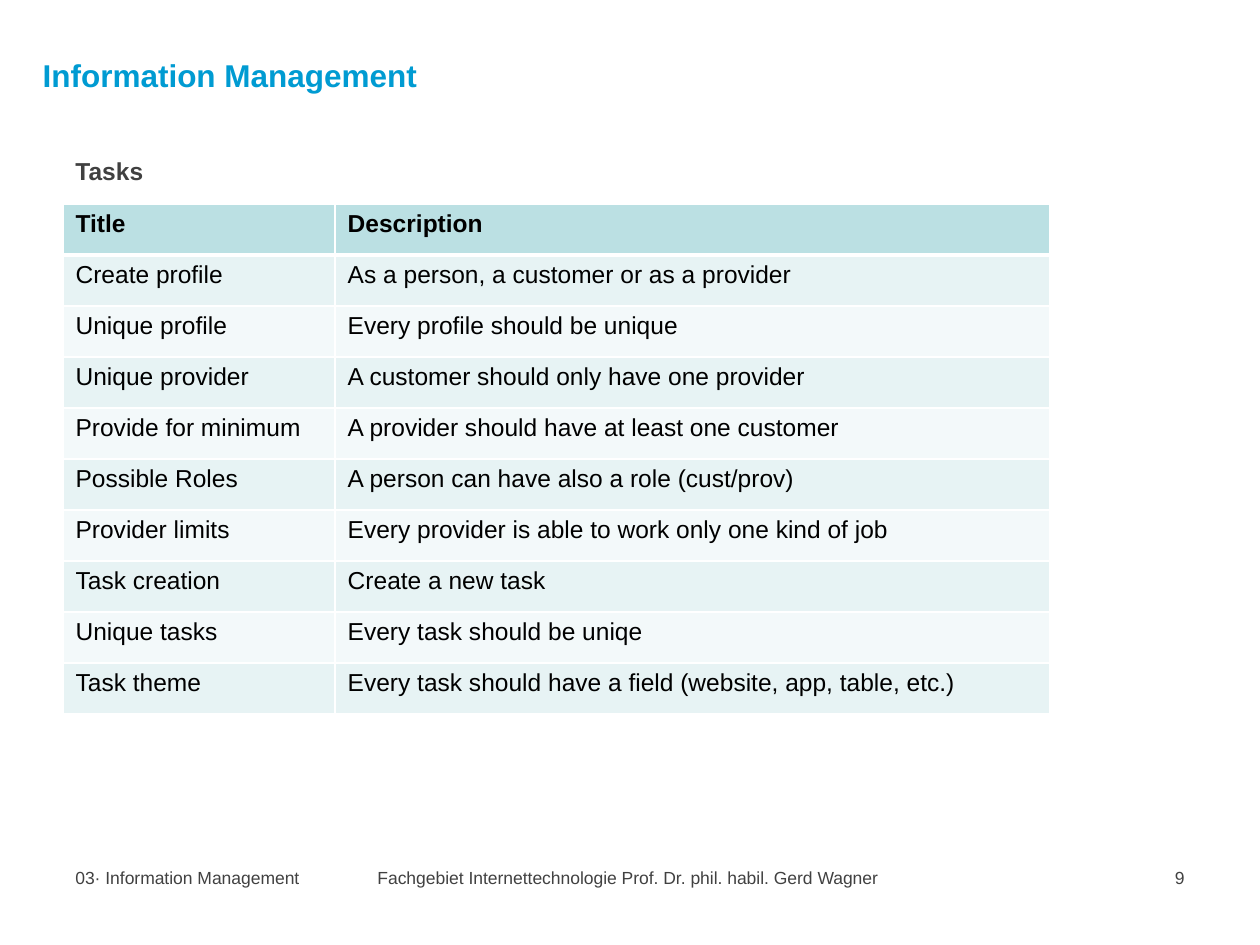
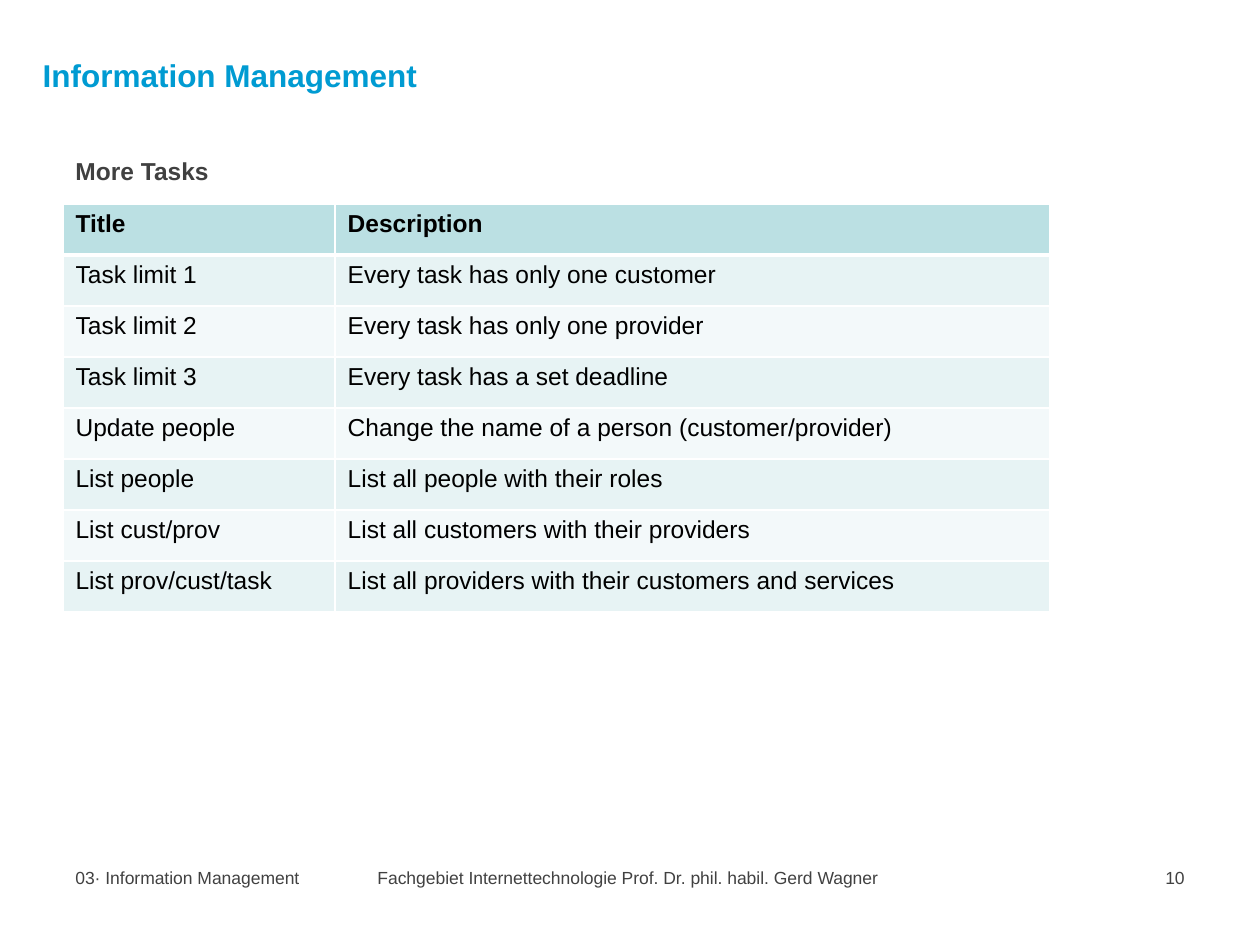
from dataclasses import dataclass

from lxml import etree
from pptx import Presentation
from pptx.dml.color import RGBColor
from pptx.enum.text import MSO_ANCHOR, PP_ALIGN
from pptx.oxml.ns import qn
from pptx.util import Inches, Pt

LEFT, CENTER, RIGHT = PP_ALIGN.LEFT, PP_ALIGN.CENTER, PP_ALIGN.RIGHT
TOP = MSO_ANCHOR.TOP
BLANK_LAYOUT = 6


@dataclass(frozen=True)
class Theme:
    font: str = "Arial"
    title_color: str = "009BD2"
    heading_color: str = "404040"
    footer_color: str = "414141"
    cell_color: str = "000000"
    header_fill: str = "BBE0E3"
    band_fills: tuple = ("E7F3F4", "F3F9FA")
    border_color: str = "FFFFFF"
    title_size: int = 18
    body_size: int = 14
    footer_size: int = 10
    thin_border: int = 1
    thick_border: int = 3


THEME = Theme()
TITLE = "Information Management"
CHAPTER = "03· Information Management"
DEPARTMENT = "Fachgebiet Internettechnologie Prof. Dr. phil. habil. Gerd Wagner "
COLUMN_WIDTHS = (2.16, 5.67)
TABLE_HEADER = ("Title", "Description")

TASK_PAGES = [
    {
        "number": 9,
        "heading": "Tasks",
        "table_height": 4.05,
        "tasks": [
            ("Create profile", "As a person, a customer or as a provider"),
            ("Unique profile", "Every profile should be unique"),
            ("Unique provider", "A customer should only have one provider"),
            ("Provide for minimum", "A provider should have at least one customer"),
            ("Possible Roles", "A person can have also a role (cust/prov)"),
            ("Provider limits", "Every provider is able to work only one kind of job"),
            ("Task creation", "Create a new task"),
            ("Unique tasks", "Every task should be uniqe"),
            ("Task theme", "Every task should have a field (website, app, table, etc.)"),
        ],
    },
    {
        "number": 10,
        "heading": "More Tasks",
        "table_height": 3.24,
        "tasks": [
            ("Task limit 1", "Every task has only one customer"),
            ("Task limit 2", "Every task has only one provider"),
            ("Task limit 3", "Every task has a set deadline"),
            ("Update people", "Change the name of a person (customer/provider)"),
            ("List people", "List all people with their roles"),
            ("List cust/prov", "List all customers with their providers"),
            ("List prov/cust/task", "List all providers with their customers and services"),
        ],
    },
]


def set_values(target, values):
    for name, value in values.items():
        setattr(target, name, value)


def write_text(frame, text, size, color, bold=False, **para_format):
    para = frame.paragraphs[0]
    set_values(para, para_format)
    span = para.add_run()
    span.text = text
    set_values(span.font, {"name": THEME.font, "size": Pt(size), "bold": bold})
    span.font.color.rgb = RGBColor.from_string(color)


def add_text(page, position, text, size, color, **text_format):
    box = page.shapes.add_textbox(*map(Inches, position))
    set_values(box.text_frame, {"word_wrap": True, "vertical_anchor": TOP})
    write_text(box.text_frame, text, size, color, **text_format)


def set_borders(cell, widths):
    properties = cell._tc.get_or_add_tcPr()
    for side, width in widths.items():
        line = etree.SubElement(properties, qn(f"a:ln{side}"), w=str(Pt(width)))
        fill = etree.SubElement(line, qn("a:solidFill"))
        etree.SubElement(fill, qn("a:srgbClr"), val=THEME.border_color)


def add_task_table(page, tasks, height):
    rows = [TABLE_HEADER, *tasks]
    frame = page.shapes.add_table(
        len(rows), len(COLUMN_WIDTHS), Inches(0.5), Inches(1.62),
        Inches(sum(COLUMN_WIDTHS)), Inches(height))
    table = frame.table
    for column, width in zip(table.columns, COLUMN_WIDTHS):
        column.width = Inches(width)
    for row_index, row in enumerate(rows):
        is_header = row_index == 0
        widths = dict.fromkeys("LRTB", THEME.thin_border)
        if is_header:
            widths["B"] = THEME.thick_border
            fill_color = THEME.header_fill
        else:
            if row_index == 1:
                widths["T"] = THEME.thick_border
            fill_color = THEME.band_fills[(row_index - 1) % 2]
        for column_index, text in enumerate(row):
            cell = table.cell(row_index, column_index)
            set_borders(cell, widths)
            cell.fill.solid()
            cell.fill.fore_color.rgb = RGBColor.from_string(fill_color)
            write_text(cell.text_frame, text, THEME.body_size,
                       THEME.cell_color, bold=is_header)


def add_footer(page, number):
    footer_parts = [
        (7.42, 2.08, str(number), RIGHT),
        (0.5, 2.14, CHAPTER, LEFT),
        (0, 10, DEPARTMENT, CENTER),
    ]
    for left, width, text, alignment in footer_parts:
        add_text(page, (left, 6.83, width, 0.5), text, THEME.footer_size,
                 THEME.footer_color, alignment=alignment)


def add_task_page(deck, number, heading, table_height, tasks):
    page = deck.slides.add_slide(deck.slide_layouts[BLANK_LAYOUT])
    add_footer(page, number)
    add_text(page, (0.24, 0.39, 6.91, 0.79), TITLE, THEME.title_size,
             THEME.title_color, bold=True, line_spacing=Pt(22))
    add_text(page, (0.5, 1.19, 8.91, 0.4), heading, THEME.body_size,
             THEME.heading_color, bold=True, space_before=Pt(2))
    add_task_table(page, tasks, table_height)


def main():
    deck = Presentation()
    set_values(deck, {"slide_width": Inches(10), "slide_height": Inches(7.5)})
    for task_page in TASK_PAGES:
        add_task_page(deck, **task_page)
    deck.save("out.pptx")


if __name__ == "__main__":
    main()
